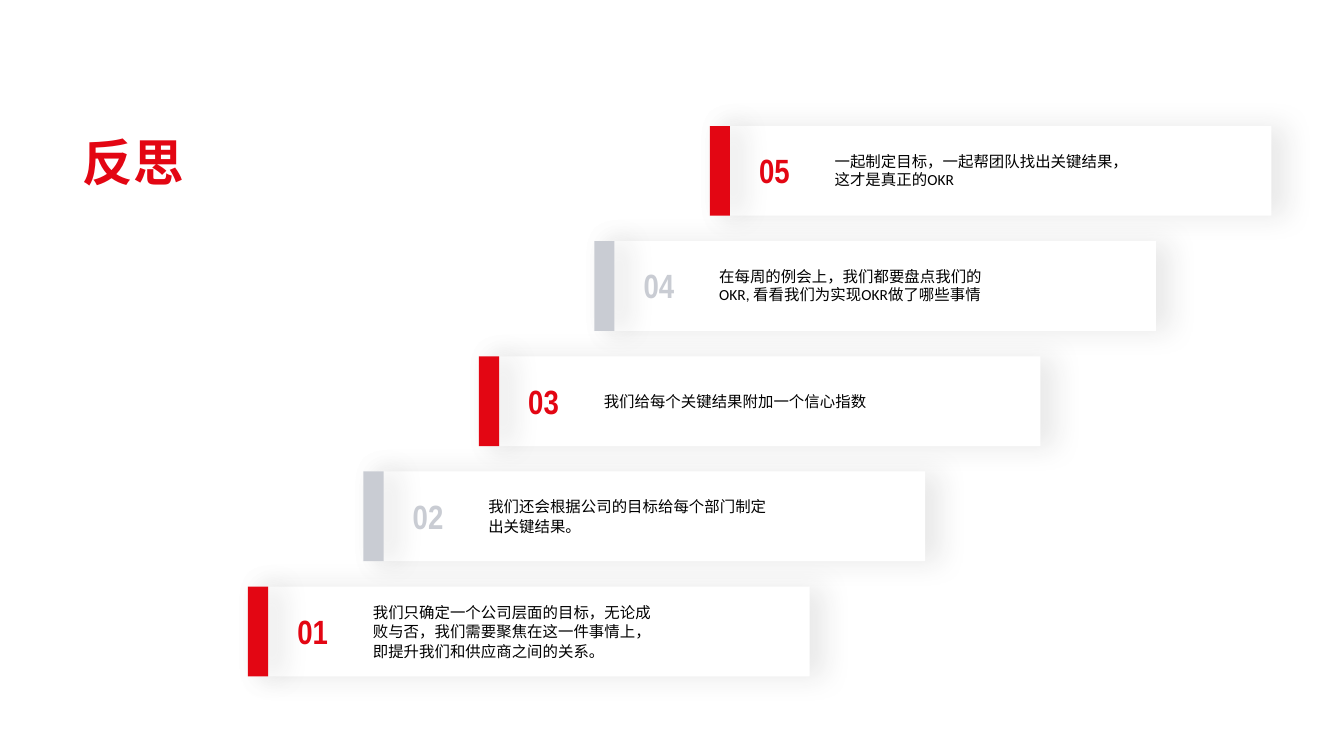
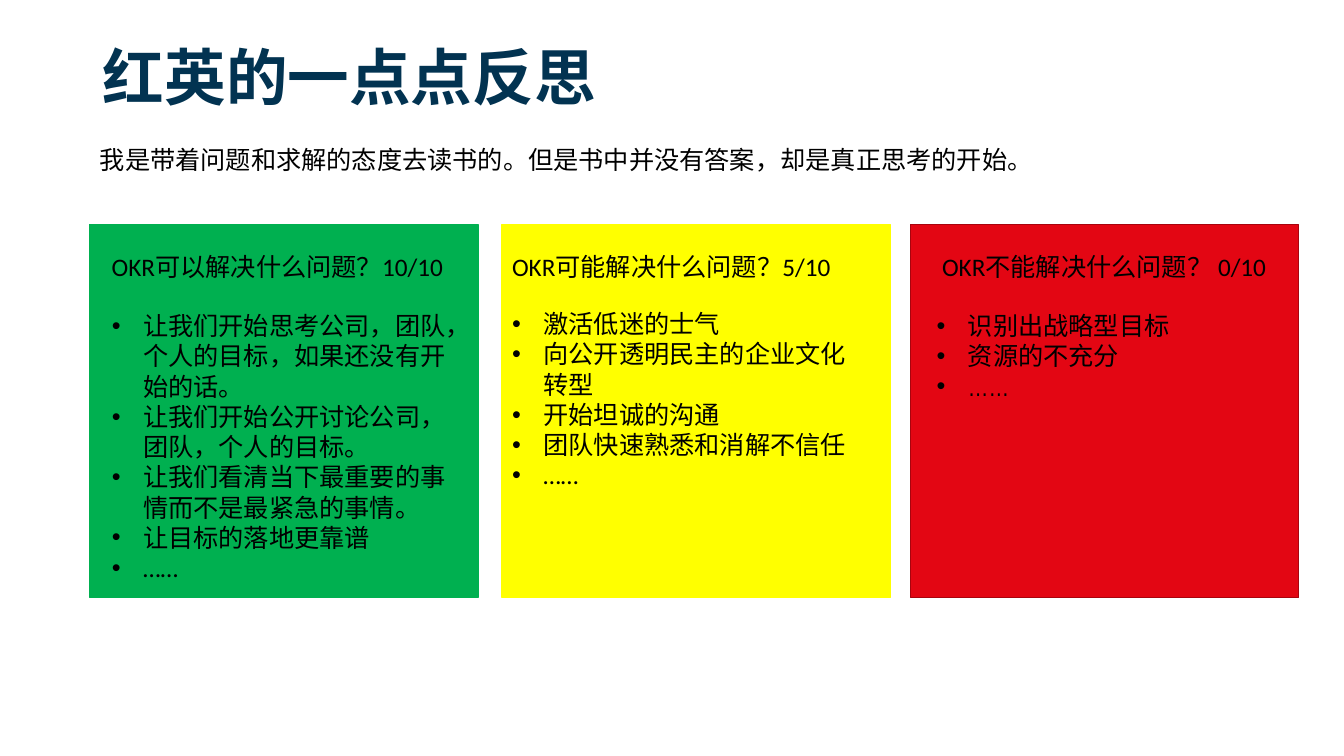
from dataclasses import dataclass
from typing import Optional

from lxml.etree import SubElement
from pptx import Presentation
from pptx.dml.color import RGBColor
from pptx.enum.lang import MSO_LANGUAGE_ID
from pptx.enum.shapes import MSO_SHAPE
from pptx.enum.text import MSO_ANCHOR, MSO_AUTO_SIZE, PP_ALIGN
from pptx.oxml.ns import qn
from pptx.util import Inches, Pt


@dataclass(frozen=True)
class Theme:
    red: str = "E30613"
    dark_red: str = "A8040E"
    gray: str = "C9CCD3"
    navy: str = "023351"
    green: str = "00B050"
    yellow: str = "FFFF00"
    black: str = "000000"
    white: str = "FFFFFF"
    shadow: str = "262626"
    body_font: str = "Calibri"
    accent_font: str = "Arial Narrow"
    title_size: int = 44
    heading_size: int = 36
    number_size: int = 24
    body_size: int = 18
    small_size: int = 11


THEME = Theme()


@dataclass(frozen=True)
class Area:
    left: float
    top: float
    width: float
    height: float

    def place(self, shape) -> None:
        shape.left, shape.top = Inches(self.left), Inches(self.top)
        shape.width, shape.height = Inches(self.width), Inches(self.height)

    def lengths(self) -> tuple:
        return tuple(Inches(value) for value in (self.left, self.top, self.width, self.height))


@dataclass(frozen=True)
class Style:
    size: int
    color: str = THEME.black
    font: str = THEME.body_font
    bold: bool = False
    align: PP_ALIGN = PP_ALIGN.LEFT
    anchor: MSO_ANCHOR = MSO_ANCHOR.TOP
    spacing: float = 1.0
    bullet: bool = False


@dataclass(frozen=True)
class Step:
    text: str
    spacing: float = 1.0


@dataclass(frozen=True)
class Card:
    left: float
    text_left: float
    list_top: float
    fill: str
    line: str
    heading: str
    points: tuple[str, ...]
    heading_align: PP_ALIGN = PP_ALIGN.LEFT
    list_font: str = THEME.body_font


STEPS = (
    Step("我们只确定一个公司层面的目标，无论成败与否，我们需要聚焦在这一件事情上，即提升我们和供应商之间的关系。", 1.07),
    Step("我们还会根据公司的目标给每个部门制定出关键结果。", 1.07),
    Step("我们给每个关键结果附加一个信心指数", 1.07),
    Step("在每周的例会上，我们都要盘点我们的OKR, 看看我们为实现OKR做了哪些事情"),
    Step("一起制定目标，一起帮团队找出关键结果，这才是真正的OKR"),
)

CARDS = (
    Card(0.89, 1.01, 3.03, THEME.green, THEME.green, "OKR可以解决什么问题？10/10", (
        "让我们开始思考公司，团队，个人的目标，如果还没有开始的话。",
        "让我们开始公开讨论公司，团队，个人的目标。",
        "让我们看清当下最重要的事情而不是最紧急的事情。",
        "让目标的落地更靠谱",
        "……",
    )),
    Card(4.98, 4.98, 3.01, THEME.yellow, THEME.yellow, "OKR可能解决什么问题？5/10", (
        "激活低迷的士气",
        "向公开透明民主的企业文化转型",
        "开始坦诚的沟通",
        "团队快速熟悉和消解不信任",
        "……",
    )),
    Card(9.03, 9.19, 3.03, THEME.red, THEME.dark_red, "OKR不能解决什么问题？ 0/10", (
        "识别出战略型目标",
        "资源的不充分",
        "……",
    ), PP_ALIGN.CENTER, THEME.accent_font),
)


def set_bullet(para, shown: bool) -> None:
    """Switch the bullet and its hanging indent on or off."""
    indent = Inches(0.31) if shown else 0
    properties = para._p.get_or_add_pPr()
    properties.set("marL", str(indent))
    properties.set("indent", str(-indent))
    if shown:
        SubElement(properties, qn("a:buFont")).set("typeface", "Arial")
        SubElement(properties, qn("a:buChar")).set("char", "•")
    else:
        SubElement(properties, qn("a:buNone"))


def write(shape, lines: tuple[str, ...], style: Style) -> None:
    """Fill a text box or placeholder, one paragraph a line."""
    frame = shape.text_frame
    frame.word_wrap = True
    frame.auto_size = MSO_AUTO_SIZE.NONE
    frame.vertical_anchor = style.anchor
    frame.margin_left = frame.margin_right = Inches(0.1)
    frame.margin_top = frame.margin_bottom = Inches(0.05)
    for index, line in enumerate(lines):
        para = frame.paragraphs[0] if index == 0 else frame.add_paragraph()
        set_bullet(para, style.bullet)
        para.alignment = style.align
        para.line_spacing = style.spacing
        para.space_before = para.space_after = Pt(0)
        span = para.add_run()
        span.text = line
        span.font.name = style.font
        span.font.size = Pt(style.size)
        span.font.bold = style.bold
        span.font.color.rgb = RGBColor.from_string(style.color)
        span.font.language_id = MSO_LANGUAGE_ID.SIMPLIFIED_CHINESE


def add_text(shapes, area: Area, text: str, style: Style) -> None:
    write(shapes.add_textbox(*area.lengths()), (text,), style)


def fill_placeholder(holder, area: Area, lines: tuple[str, ...], style: Style) -> None:
    area.place(holder)
    write(holder, lines, style)


def add_block(shapes, kind: MSO_SHAPE, area: Area, fill: str, line: Optional[str] = None):
    block = shapes.add_shape(kind, *area.lengths())
    block.shadow.inherit = False
    block.fill.solid()
    block.fill.fore_color.rgb = RGBColor.from_string(fill)
    if line is None:
        block.line.fill.background()
    else:
        block.line.color.rgb = RGBColor.from_string(line)
        block.line.width = Pt(1)
    return block


def add_soft_shadow(shape) -> None:
    effects = shape.element.spPr.find(qn("a:effectLst"))
    shadow = SubElement(effects, qn("a:outerShdw"), blurRad=str(Pt(20)), dist=str(Pt(10)),
                        dir="0", algn="l", rotWithShape="0")
    color = SubElement(shadow, qn("a:srgbClr"), val=THEME.shadow)
    SubElement(color, qn("a:alpha"), val="10000")


def add_step(page, index: int, step: Step) -> None:
    """Draw one stair, counted from the lowest."""
    left, top = 2.46 + 1.145 * index, 5.82 - 1.1425 * index
    accent = THEME.gray if index % 2 else THEME.red
    shapes = page.shapes.add_group_shape().shapes
    panel = add_block(shapes, MSO_SHAPE.ROUNDED_RECTANGLE, Area(left, top, 5.57, 0.89), THEME.white)
    panel.adjustments[0] = 0
    bar = add_block(shapes, MSO_SHAPE.RECTANGLE, Area(left, top, 0.2, 0.89), accent)
    for shape in (panel, bar):
        add_soft_shadow(shape)
    add_text(shapes, Area(left + 1.14, top + 0.22, 3.06, 0.44), step.text,
             Style(THEME.small_size, anchor=MSO_ANCHOR.MIDDLE, spacing=step.spacing))
    add_text(shapes, Area(left + 0.39, top + 0.19, 0.75, 0.5), f"{index + 1:02d}",
             Style(THEME.number_size, accent, THEME.accent_font, True, anchor=MSO_ANCHOR.MIDDLE))


def add_card(page, card: Card, holder) -> None:
    """Draw a coloured card behind its heading and list."""
    block = add_block(page.shapes, MSO_SHAPE.RECTANGLE, Area(card.left, 2.23, 3.85, 3.7),
                      card.fill, card.line)
    page.shapes.element.insert(2, block.element)
    add_text(page.shapes, Area(card.text_left, 2.44, 3.52, 0.4), card.heading,
             Style(THEME.body_size, align=card.heading_align))
    list_height = 0.1 + 0.3 * len(card.points)
    fill_placeholder(holder, Area(card.text_left, card.list_top, 3.52, list_height), card.points,
                     Style(THEME.body_size, font=card.list_font, bullet=True))


def build_steps_page(deck) -> None:
    page = deck.slides.add_slide(deck.slide_layouts.get_by_name("Title Only"))
    fill_placeholder(page.shapes.title, Area(0.72, 1.25, 4.11, 0.71), ("反思",),
                     Style(THEME.heading_size, THEME.red, THEME.accent_font, True))
    for index, step in enumerate(STEPS):
        add_step(page, index, step)


def build_cards_page(deck) -> None:
    page = deck.slides.add_slide(deck.slide_layouts.get_by_name("Comparison"))
    title, intro, *lists = page.placeholders
    fill_placeholder(title, Area(0.92, 0.4, 11.5, 0.8), ("红英的一点点反思",),
                     Style(THEME.title_size, THEME.navy, bold=True,
                           anchor=MSO_ANCHOR.MIDDLE, spacing=0.9))
    fill_placeholder(intro, Area(0.89, 1.36, 11.96, 0.41),
                     ("我是带着问题和求解的态度去读书的。但是书中并没有答案，却是真正思考的开始。",),
                     Style(THEME.body_size, spacing=1.07))
    for card, holder in zip(CARDS, lists):
        add_card(page, card, holder)


def main() -> None:
    deck = Presentation()
    deck.slide_width, deck.slide_height = Inches(13.33), Inches(7.5)
    build_steps_page(deck)
    build_cards_page(deck)
    deck.save("out.pptx")


if __name__ == "__main__":
    main()
